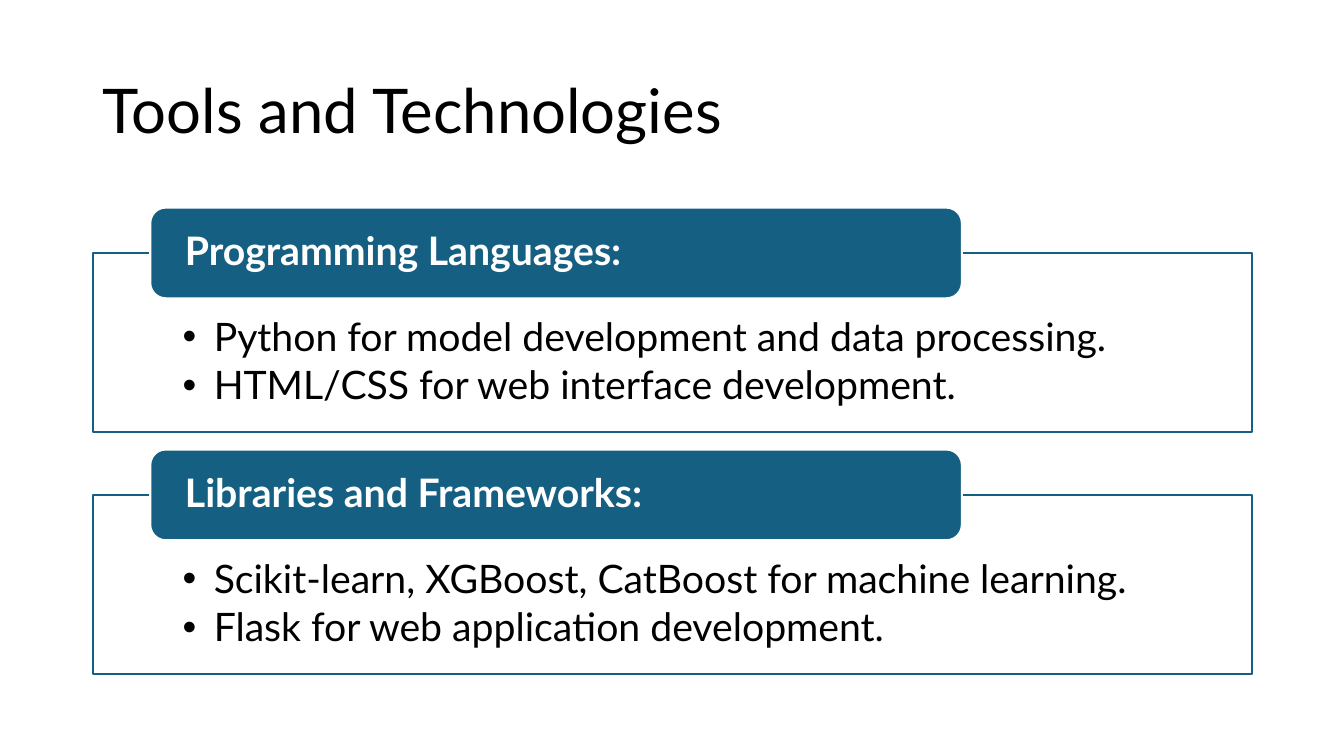
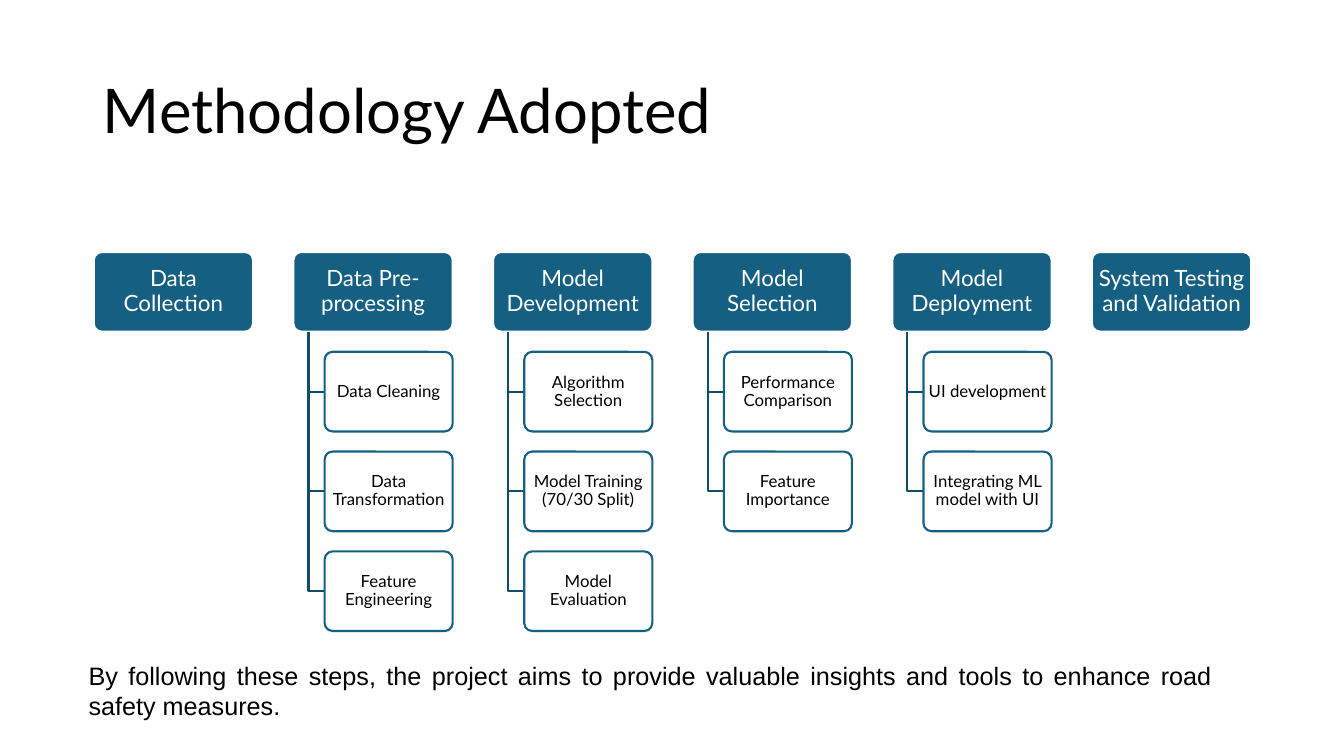
from lxml import etree
from pptx import Presentation
from pptx import util as u
from pptx.dml import color as dml
from pptx.enum import shapes, text
from pptx.oxml import ns

# Shared style
BLUE, DARK_BLUE, WHITE, BLACK = "156082", "114D68", "FFFFFF", "000000"
FONT = "Lato"
LINE_WIDTH = 1.5
LEFT, CENTER, JUSTIFY = text.PP_ALIGN.LEFT, text.PP_ALIGN.CENTER, text.PP_ALIGN.JUSTIFY
TOP, MIDDLE = text.MSO_ANCHOR.TOP, text.MSO_ANCHOR.MIDDLE
TITLE_BOX = (0.92, 0.4, 11.5, 1.45)

TOOLS = [
    ("Programming Languages:",
     ["Python for model development and data processing.",
      "HTML/CSS for web interface development."]),
    ("Libraries and Frameworks:",
     ["Scikit-learn, XGBoost, CatBoost for machine learning.",
      "Flask for web application development."]),
]
STAGES = [
    ("Data Collection", []),
    ("Data Pre-processing",
     ["Data Cleaning", "Data Transformation", "Feature Engineering"]),
    ("Model Development",
     ["Algorithm Selection", "Model Training (70/30 Split)", "Model Evaluation"]),
    ("Model Selection", ["Performance Comparison", "Feature Importance"]),
    ("Model Deployment", ["UI development", "Integrating ML model with UI"]),
    ("System Testing and Validation", []),
]
SUMMARY = ("By following these steps, the project aims to provide valuable insights "
           "and tools to enhance road safety measures.")


def rgb(value):
    return dml.RGBColor.from_string(value)


def place(shape, left, top, width, height):
    shape.left, shape.top = u.Inches(left), u.Inches(top)
    shape.width, shape.height = u.Inches(width), u.Inches(height)


def outline(shape, color):
    shape.line.color.rgb = rgb(color)
    shape.line.width = u.Pt(LINE_WIDTH)


def paint(shape, fill, line):
    shape.fill.solid()
    shape.fill.fore_color.rgb = rgb(fill)
    outline(shape, line)


def add_bullet(para, indent):
    props = para._p.get_or_add_pPr()
    props.set("marL", str(u.Inches(indent)))
    props.set("indent", str(-u.Inches(indent)))
    etree.SubElement(props, ns.qn("a:buFont")).set("typeface", "Arial")
    etree.SubElement(props, ns.qn("a:buChar")).set("char", "•")


def write(shape, lines, size, color=BLACK, font=FONT, bold=False, align=LEFT,
          anchor=MIDDLE, insets=(0.1, 0.05, 0.1, 0.05), spacing=0.9, after=0, bullet=0):
    frame = shape.text_frame
    frame.word_wrap = True
    frame.auto_size = text.MSO_AUTO_SIZE.NONE
    frame.vertical_anchor = anchor
    (frame.margin_left, frame.margin_top,
     frame.margin_right, frame.margin_bottom) = map(u.Inches, insets)
    for number, line in enumerate(lines):
        para = frame.add_paragraph() if number else frame.paragraphs[0]
        para.alignment = align
        para.line_spacing = spacing
        para.space_before, para.space_after = u.Pt(0), u.Pt(after)
        if bullet:
            add_bullet(para, bullet)
        span = para.add_run()
        span.text = line
        span.font.name, span.font.size, span.font.bold = font, u.Pt(size), bold
        span.font.color.rgb = rgb(color)


def add_rounded(page, box, fill, line, corner):
    shape = page.shapes.add_shape(shapes.MSO_SHAPE.ROUNDED_RECTANGLE, *map(u.Inches, box))
    shape.adjustments[0] = corner
    shape.shadow.inherit = False
    paint(shape, fill, line)
    return shape


# Open elbow: down from the start, then right to the end
def add_elbow(page, left, top, right, bottom):
    start_x, start_y, end_x, end_y = map(u.Inches, (left, top, right, bottom))
    builder = page.shapes.build_freeform(start_x, start_y)
    builder.add_line_segments([(start_x, end_y), (end_x, end_y)], close=False)
    elbow = builder.convert_to_shape()
    elbow.shadow.inherit = False
    elbow.fill.background()
    outline(elbow, DARK_BLUE)


def add_page(deck, layout, title):
    page = deck.slides.add_slide(deck.slide_layouts.get_by_name(layout))
    place(page.shapes.title, *TITLE_BOX)
    write(page.shapes.title, [title], 44)
    return page


# Framed list with a heading tab across its top edge
def add_panel(page, body, box, heading, items):
    left, top, width, height = box
    tab_height = 0.9
    place(body, left, top + tab_height / 2, width, height - tab_height / 2)
    paint(body, WHITE, BLUE)
    write(body, items, 28, anchor=TOP, insets=(0.89, 0.64, 0.89, 0.22),
          after=4.2, bullet=0.31)
    tab = add_rounded(page, (left + 0.57, top, width * 0.7, tab_height), BLUE, WHITE, 0.17)
    write(tab, [heading], 28, color=WHITE, bold=True, insets=(0.3, 0, 0.3, 0))


# Stage heading with its steps hanging below
def add_stage(page, box, heading, steps):
    left, top, width, height = box
    insets = (0.02, 0.02, 0.02, 0.02)
    head = add_rounded(page, box, BLUE, WHITE, 0.1)
    write(head, [heading], 16, color=WHITE, align=CENTER, insets=insets)
    step_left, step_width = left + 0.31, 1.27
    for number, step in enumerate(steps, 1):
        step_top = top + number * (height + 0.2)
        add_elbow(page, left + 0.15, top + height, step_left, step_top + height / 2)
        card = add_rounded(page, (step_left, step_top, step_width, height), WHITE, BLUE, 0.1)
        write(card, [step], 12, align=CENTER, insets=insets)


def build_tools(deck):
    page = add_page(deck, "Two Content", "Tools and Technologies")
    for number, (heading, items) in enumerate(TOOLS):
        box = (0.92, 2.06 + number * 2.4, 11.5, 2.23)
        add_panel(page, page.placeholders[number + 1], box, heading, items)


def build_methodology(deck):
    page = add_page(deck, "Title Only", "Methodology Adopted")
    for number, (heading, steps) in enumerate(STAGES):
        add_stage(page, (0.93 + number * 1.98, 2.5, 1.58, 0.79), heading, steps)
    summary = page.shapes.add_textbox(*map(u.Inches, (0.78, 6.5, 11.34, 0.9)))
    write(summary, [SUMMARY], 18, font="Arial", align=JUSTIFY, anchor=TOP, spacing=1.0)


def main():
    deck = Presentation()
    deck.slide_width, deck.slide_height = u.Inches(13.33), u.Inches(7.5)
    build_tools(deck)
    build_methodology(deck)
    deck.save("out.pptx")


if __name__ == "__main__":
    main()
